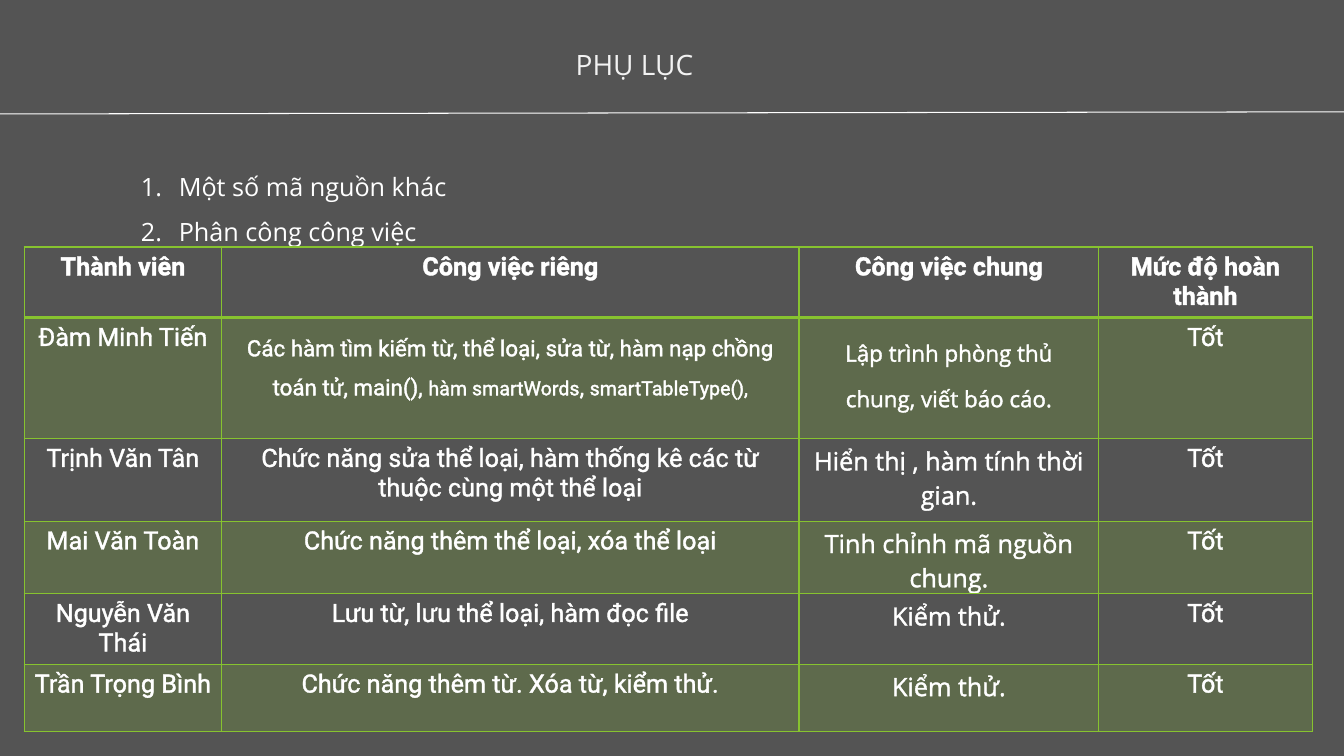
import lxml.etree
import pptx
import pptx.dml.color
import pptx.enum.shapes
import pptx.enum.text
import pptx.oxml.ns
import pptx.util

Pt = pptx.util.Pt
CENTER = pptx.enum.text.PP_ALIGN.CENTER

WHITE = "FFFFFF"
GREEN = "87C32F"
BODY_FONT = "Open Sans"
TABLE_FONT = "Roboto"

COLUMN_WIDTHS = [141, 412.5, 214, 152.5]
ROW_HEIGHTS = [48.2, 86.4, 59, 51.8, 48.2, 48.2]
HEADERS = ["Thành viên", "Công việc riêng", "Công việc chung", "Mức độ hoàn thành"]
SEARCH_TASKS = [
    ("Các hàm tìm kiếm từ, thể loại, sửa từ, hàm nạp chồng toán tử, main(), ", 16),
    ("hàm smartWords", 14),
    (", ", 16),
    ("smartTableType(),", 14),
]
MEMBERS = [
    ["Đàm Minh Tiến", SEARCH_TASKS,
     [("Lập trình phòng thủ chung, viết báo cáo.", 16)], "Tốt"],
    ["Trịnh Văn Tân", "Chức năng sửa thể loại, hàm thống kê các từ thuộc cùng một thể loại",
     "Hiển thị , hàm tính thời gian.", "Tốt"],
    ["Mai Văn Toàn", "Chức năng thêm thể loại, xóa thể loại",
     "Tinh chỉnh mã nguồn chung.", "Tốt"],
    ["Nguyễn Văn Thái", "Lưu từ, lưu thể loại, hàm đọc file", "Kiểm thử.", "Tốt"],
    ["Trần Trọng Bình", "Chức năng thêm từ. Xóa từ, kiểm thử.", "Kiểm thử.", "Tốt"],
]


def color(value):
    return pptx.dml.color.RGBColor.from_string(value)


def add_element(parent, tag, **attributes):
    element = lxml.etree.SubElement(parent, pptx.oxml.ns.qn(tag))
    for name, value in attributes.items():
        element.set(name, str(value))
    return element


def add_line_properties(parent, tag, line_color, width):
    line = add_element(parent, tag, w=int(Pt(width)))
    add_element(add_element(line, "a:solidFill"), "a:srgbClr", val=line_color)


def style_font(font, size, name, text_color, bold=False):
    font.size = Pt(size)
    font.name = name
    font.bold = bold
    font.color.rgb = color(text_color)


def add_text(slide, left, top, width, height, lines, size, text_color,
             alignment=None, numbered=False):
    shape = slide.shapes.add_textbox(Pt(left), Pt(top), Pt(width), Pt(height))
    frame = shape.text_frame
    frame.word_wrap = True
    frame.auto_size = pptx.enum.text.MSO_AUTO_SIZE.SHAPE_TO_FIT_TEXT
    frame.text = "\n".join(lines)
    for paragraph in frame.paragraphs:
        paragraph.alignment = alignment
        if numbered:
            paragraph.line_spacing = 1.5
            properties = paragraph._p.get_or_add_pPr()
            properties.set("marL", str(int(Pt(27))))
            properties.set("indent", str(int(Pt(-27))))
            add_element(properties, "a:buAutoNum", type="arabicPeriod")
        for run in paragraph.runs:
            style_font(run.font, size, BODY_FONT, text_color)


def add_divider(slide, start_x, start_y, end_x, end_y):
    line = slide.shapes.add_connector(
        pptx.enum.shapes.MSO_CONNECTOR.STRAIGHT,
        Pt(start_x), Pt(start_y), Pt(end_x), Pt(end_y))
    line.line.color.rgb = color(WHITE)
    line.line.width = Pt(0.75)
    add_element(line._element.spPr, "a:effectLst")


def fill_cell(cell, content, font_name, is_header, is_shaded):
    # Text: a plain string, or pieces with their own sizes and wider spacing
    paragraph = cell.text_frame.paragraphs[0]
    paragraph.alignment = CENTER
    if isinstance(content, str):
        pieces = [(content, 18)]
    else:
        pieces = content
        paragraph.line_spacing = 1.5
    for text, size in pieces:
        run = paragraph.add_run()
        run.text = text
        add_line_properties(run._r.get_or_add_rPr(), "a:ln", WHITE, 0.75)
        style_font(run.font, size, font_name, WHITE, is_header)

    # Borders come before the fill in the cell properties
    properties = cell._tc.get_or_add_tcPr()
    for tag in ("a:lnL", "a:lnR", "a:lnT", "a:lnB"):
        width = 2 if is_header and tag == "a:lnB" else 1
        add_line_properties(properties, tag, GREEN, width)
    if is_shaded:
        cell.fill.solid()
        cell.fill.fore_color.rgb = color(GREEN)
        fill_color = properties.find(pptx.oxml.ns.qn("a:solidFill"))[0]
        add_element(fill_color, "a:alpha", val=20000)
    else:
        cell.fill.background()


def add_work_table(slide, left, top, height):
    rows = [HEADERS] + MEMBERS
    frame = slide.shapes.add_table(len(rows), len(HEADERS), Pt(left), Pt(top),
                                   Pt(sum(COLUMN_WIDTHS)), Pt(height))
    table = frame.table
    table.first_row = False
    table.horz_banding = False
    for column, width in zip(table.columns, COLUMN_WIDTHS):
        column.width = Pt(width)
    for row, row_height in zip(table.rows, ROW_HEIGHTS):
        row.height = Pt(row_height)
    frame.height = Pt(height)
    for row_index, contents in enumerate(rows):
        for column_index, content in enumerate(contents):
            is_header = row_index == 0
            is_shared_work = column_index == 2 and not is_header
            fill_cell(table.cell(row_index, column_index), content,
                      BODY_FONT if is_shared_work else TABLE_FONT,
                      is_header, row_index % 2 == 1)


def main():
    presentation = pptx.Presentation()
    presentation.slide_width = Pt(960)
    presentation.slide_height = Pt(540)
    slide = presentation.slides.add_slide(presentation.slide_layouts[6])
    slide.background.fill.solid()
    slide.background.fill.fore_color.rgb = color("545454")

    # Title and divider
    add_text(slide, 75, 30.2, 756.5, 31.5, ["PHỤ LỤC"], 20, "F2F2F2", alignment=CENTER)
    add_divider(slide, 0, 81.4, 960, 79.9)

    # Numbered list
    add_text(slide, 93.6, 108, 478, 68.4, ["Một số mã nguồn khác", "Phân công công việc"],
             18, WHITE, numbered=True)

    # Work assignment table
    add_work_table(slide, 17.3, 176.4, 346.3)

    presentation.save("out.pptx")


if __name__ == "__main__":
    main()
